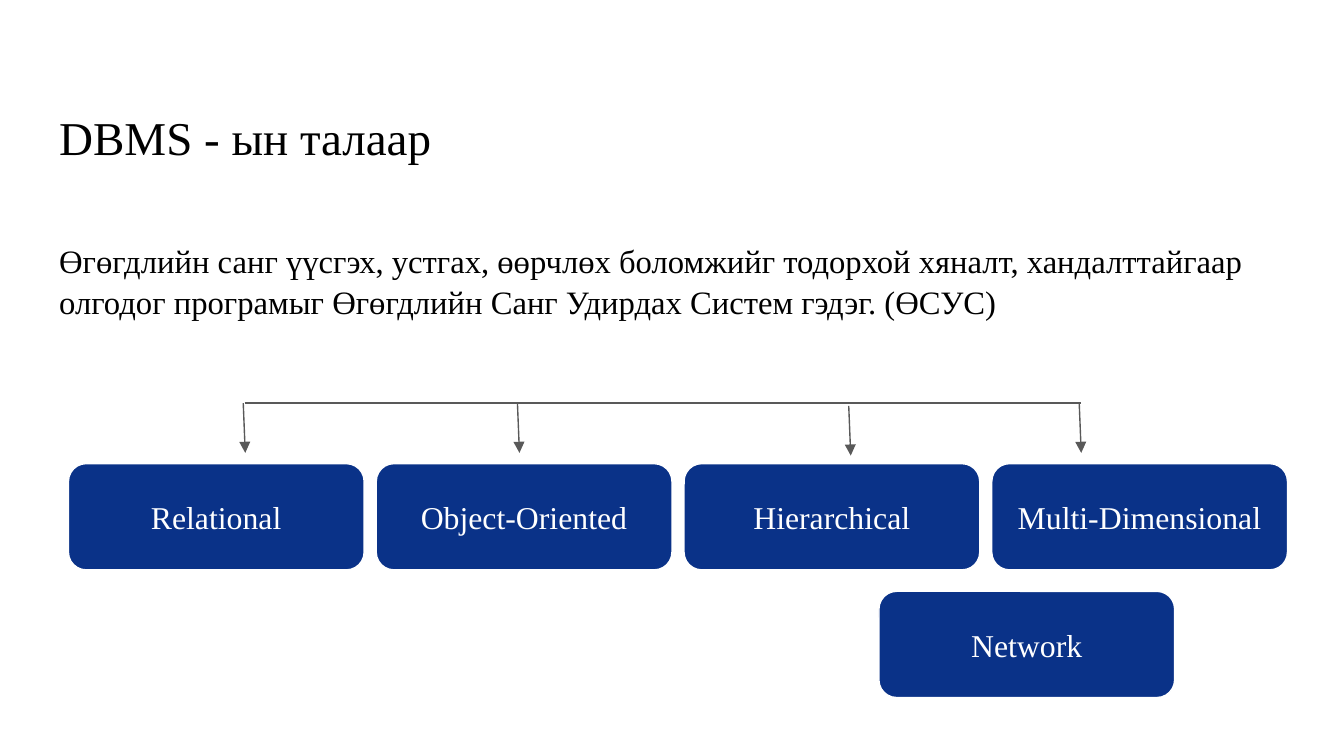
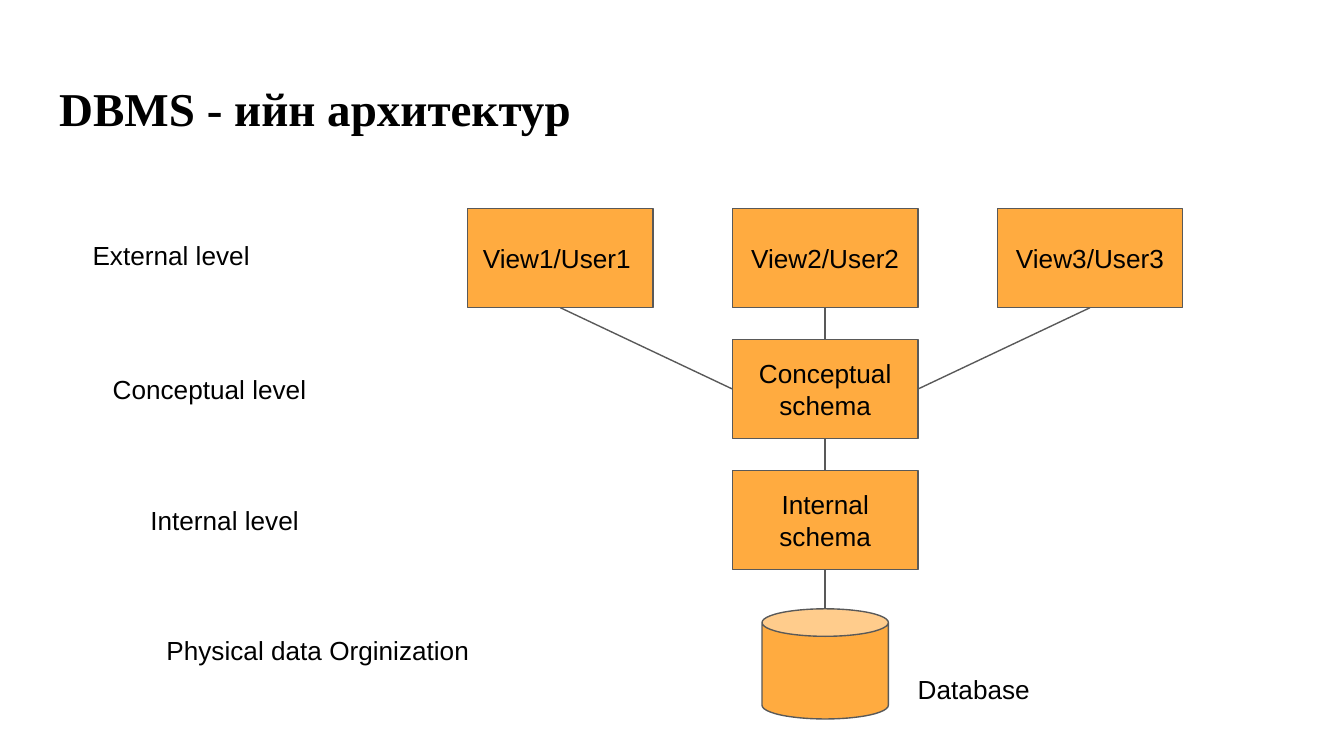
from dataclasses import dataclass

from lxml import etree
from pptx import Presentation
from pptx.dml.color import RGBColor
from pptx.enum.shapes import MSO_CONNECTOR, MSO_SHAPE
from pptx.enum.text import MSO_ANCHOR, MSO_AUTO_SIZE, PP_ALIGN
from pptx.oxml.ns import qn
from pptx.util import Inches, Pt

BLACK = RGBColor(0x00, 0x00, 0x00)
WHITE = RGBColor(0xFF, 0xFF, 0xFF)
NAVY = RGBColor(0x0A, 0x32, 0x88)
ORANGE = RGBColor(0xFF, 0xAB, 0x40)
GRAY = RGBColor(0x59, 0x59, 0x59)

STRAIGHT, ELBOW = MSO_CONNECTOR.STRAIGHT, MSO_CONNECTOR.ELBOW
RECTANGLE, ROUNDED, CAN = MSO_SHAPE.RECTANGLE, MSO_SHAPE.ROUNDED_RECTANGLE, MSO_SHAPE.CAN
TOP, MIDDLE, BOTTOM = MSO_ANCHOR.TOP, MSO_ANCHOR.MIDDLE, MSO_ANCHOR.BOTTOM
LEFT, CENTER = PP_ALIGN.LEFT, PP_ALIGN.CENTER
FIXED = MSO_AUTO_SIZE.NONE
SITE_TOP, SITE_LEFT, SITE_BOTTOM, SITE_RIGHT = range(4)
TITLE_ONLY, TITLE_AND_BODY = 5, 1

CELL = Inches(0.1)
COLUMNS, ROWS = 100, 56.25
LINE_WIDTH = Pt(0.75)
TITLE_FONT = {"name": "Times New Roman", "size": Pt(25.2), "bold": False}
BODY_FONT = {"name": "Times New Roman", "size": Pt(17.5)}
TYPE_FONT = {"name": "Times New Roman", "size": Pt(17)}
LABEL_FONT = {"name": "Arial", "size": Pt(14)}
FRAME = {"word_wrap": True, "auto_size": FIXED} | {
    f"margin_{side}": CELL for side in ("left", "right", "top", "bottom")
}
FLUSH = {"line_spacing": 1.0, "space_before": Pt(0)}


@dataclass
class Box:
    """A region of the page, measured in grid cells."""

    left: float
    top: float
    width: float
    height: float

    def inner(self, left, top, width, height):
        """Return a box placed relative to this one."""
        return Box(self.left + left, self.top + top, width, height)

    def cells(self):
        """Return the four lengths in slide units."""
        return [round(value * CELL) for value in (self.left, self.top, self.width, self.height)]


PAGE = Box(0, 0, COLUMNS, ROWS)


def apply(target, values):
    """Set each attribute named in a dict."""
    for name, value in values.items():
        setattr(target, name, value)


def write(shape, text, font, color=BLACK, anchor=TOP, **layout):
    """Put one formatted paragraph into a shape."""
    frame = shape.text_frame
    apply(frame, FRAME | {"vertical_anchor": anchor})
    para = frame.paragraphs[0]
    apply(para, FLUSH | {"alignment": LEFT} | layout)
    span = para.add_run()
    span.text = text
    apply(span.font, font)
    span.font.color.rgb = color


def place(shape, box):
    """Move a placeholder to a box."""
    apply(shape, dict(zip(("left", "top", "width", "height"), box.cells())))


def add_page(deck, layout, title, box, anchor, bold=False):
    """Add a page with its title."""
    page = deck.slides.add_slide(deck.slide_layouts[layout])
    place(page.shapes.title, box)
    write(page.shapes.title, title, TITLE_FONT | {"bold": bold}, anchor=anchor)
    return page


def add_body(page, text, box):
    """Fill the body placeholder with plain unbulleted text."""
    body = page.placeholders[1]
    place(body, box)
    write(body, text, BODY_FONT, line_spacing=1.05)
    settings = body.text_frame.paragraphs[0]._p.get_or_add_pPr()
    settings.set("marL", "0")
    settings.set("indent", "0")
    etree.SubElement(settings, qn("a:buNone"))


def add_block(page, kind, box, fill, line):
    """Add a flat filled shape."""
    block = page.shapes.add_shape(kind, *box.cells())
    block.shadow.inherit = False
    block.fill.solid()
    block.fill.fore_color.rgb = fill
    block.line.color.rgb = line
    block.line.width = LINE_WIDTH
    return block


def add_line(page, box, kind=STRAIGHT, arrow=False):
    """Draw a line across a box from its top left to its bottom right."""
    left, top, width, height = box.cells()
    line = page.shapes.add_connector(kind, left, top, left + width, top + height)
    line.line.color.rgb = GRAY
    line.line.width = LINE_WIDTH
    properties = line._element.spPr
    if arrow:
        etree.SubElement(properties.find(qn("a:ln")), qn("a:tailEnd"), type="triangle")
    etree.SubElement(properties, qn("a:effectLst"))
    return line


def join(page, start, start_site, end, end_site):
    """Glue a line to two blocks."""
    line = add_line(page, PAGE.inner(0, 0, 1, 1))
    line.begin_connect(start, start_site)
    line.end_connect(end, end_site)


def add_type_tree(page, box):
    """Draw the branching arrows and the database types below them."""
    add_line(page, box.inner(13.1, 0, 62.2, 0), ELBOW)
    for left, top in ((13, 0), (33.4, 0), (58.05, 0.2), (75.2, 0)):
        add_line(page, box.inner(left, top, 0.15, 3.7), arrow=True)
    names = ("Relational", "Object-Oriented", "Hierarchical", "Multi-Dimensional")
    spots = [(name, 22.9 * column, 4.5) for column, name in enumerate(names)]
    for name, left, top in spots + [("Network", 60.3, 14)]:
        block = add_block(page, ROUNDED, box.inner(left, top, 22, 7.9), NAVY, WHITE)
        write(block, name, TYPE_FONT, WHITE, MIDDLE, alignment=CENTER)


def add_schema_tree(page, box):
    """Draw the views, the schemas and the database joined by lines."""
    across, down, width, height = 19.7, 9.75, 13.8, 7.4

    def add_node(text, column, row):
        """Add a labelled block at a column and row of the tree."""
        spot = box.inner(column * across, row * down, width, height)
        node = add_block(page, RECTANGLE, spot, ORANGE, GRAY)
        write(node, text, LABEL_FONT, anchor=MIDDLE, alignment=CENTER)
        return node

    names = ("View1/User1 ", "View2/User2", "View3/User3")
    views = [add_node(name, column, 0) for column, name in enumerate(names)]
    conceptual = add_node("Conceptual schema", 1, 1)
    internal = add_node("Internal schema", 1, 2)
    middle, bottom, can_top = across + width / 2, 2 * down + height, 29.8
    add_block(page, CAN, box.inner(middle - 4.7, can_top, 9.4, 8.2), ORANGE, GRAY)
    for view, site in zip(views, (SITE_LEFT, SITE_TOP, SITE_RIGHT)):
        join(page, conceptual, site, view, SITE_BOTTOM)
    join(page, conceptual, SITE_BOTTOM, internal, SITE_TOP)
    add_line(page, box.inner(middle, bottom, 0, can_top - bottom))


def add_level_labels(page, box):
    """Name the levels beside the tree and the database."""
    labels = (
        ("External level", 0, 0, 14.8),
        ("Conceptual level", 1.5, 10, 17.6),
        ("Internal level", 4.3, 19.7, 14.8),
        ("Physical data Orginization", 5.5, 29.4, 25),
        ("Database", 61.4, 32.3, 14.8),
    )
    for text, left, top, width in labels:
        label = page.shapes.add_textbox(*box.inner(left, top, width, 4.4).cells())
        write(label, text, LABEL_FONT)


def add_types_page(deck):
    """Build the page on the kinds of database systems."""
    title_box = PAGE.inner(3.4, 7.7, 93.2, 5.6)
    page = add_page(deck, TITLE_AND_BODY, "DBMS - ын талаар", title_box, BOTTOM)
    add_body(
        page,
        "Өгөгдлийн санг үүсгэх, устгах, өөрчлөх боломжийг тодорхой хяналт, хандалттайгаар "
        "олгодог програмыг Өгөгдлийн Санг Удирдах Систем гэдэг. (ӨСУС)",
        PAGE.inner(3.4, 16.8, 97.3, 11.6),
    )
    add_type_tree(page, PAGE.inner(5.1, 30, 90.7, 21.9))


def add_architecture_page(deck):
    """Build the page on the architecture levels."""
    title_box = PAGE.inner(3.4, 4.9, 93.2, 6.3)
    page = add_page(deck, TITLE_ONLY, "DBMS - ийн архитектур", title_box, TOP, bold=True)
    add_schema_tree(page, PAGE.inner(34.8, 15.5, 53.2, 38))
    add_level_labels(page, PAGE.inner(5.9, 16.8, 76.2, 36.7))


def main():
    """Build and save the deck."""
    deck = Presentation()
    deck.slide_width, deck.slide_height = PAGE.cells()[2:]
    add_types_page(deck)
    add_architecture_page(deck)
    deck.save("out.pptx")


if __name__ == "__main__":
    main()
